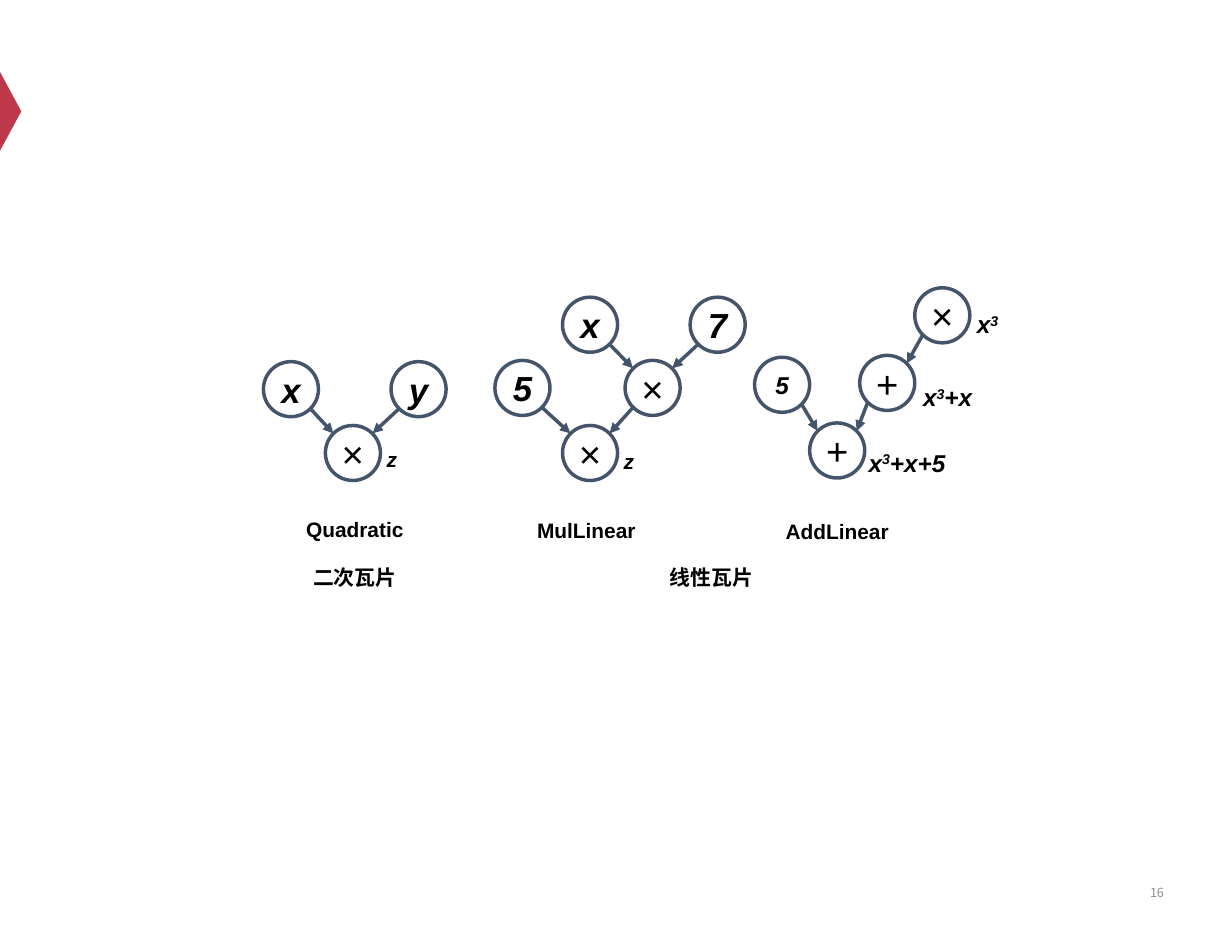
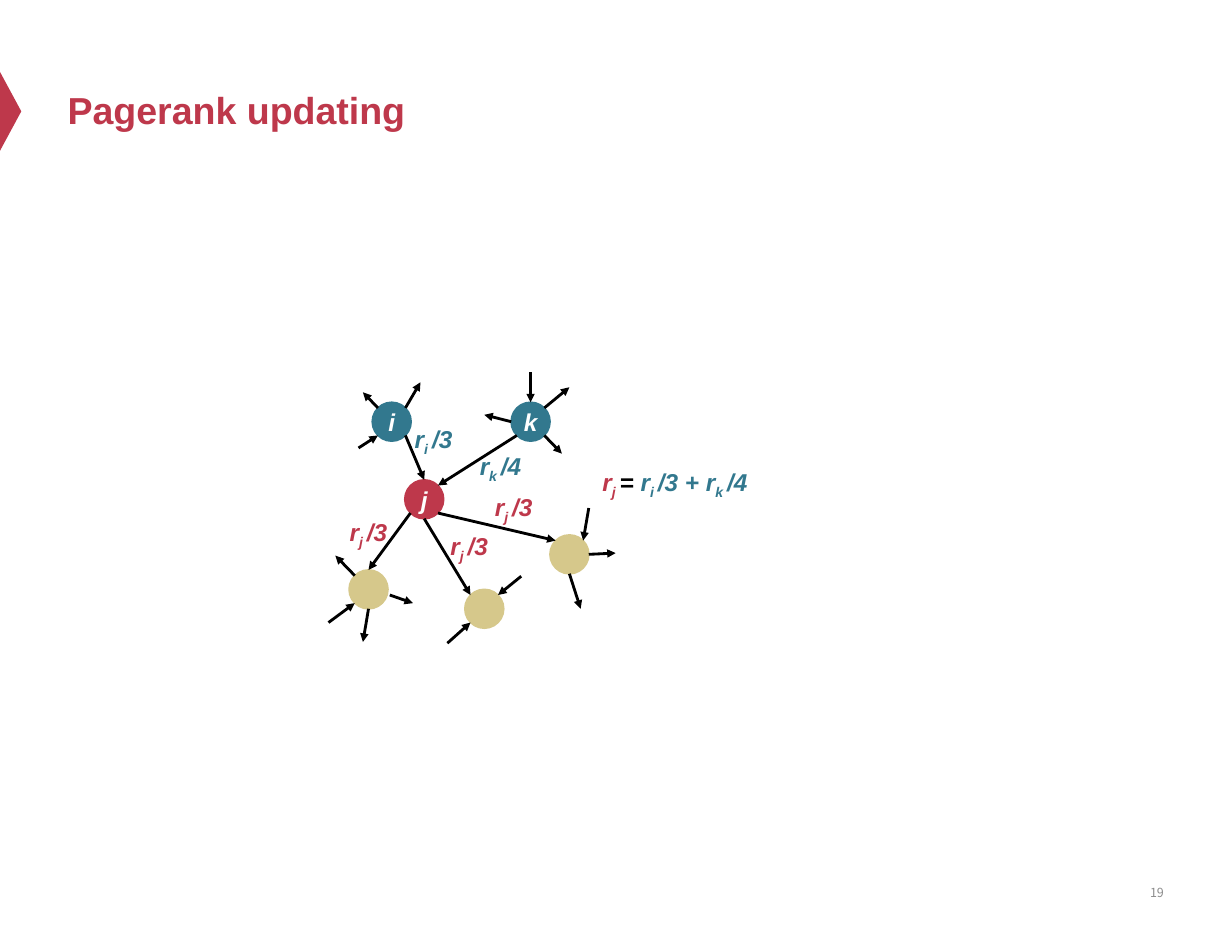
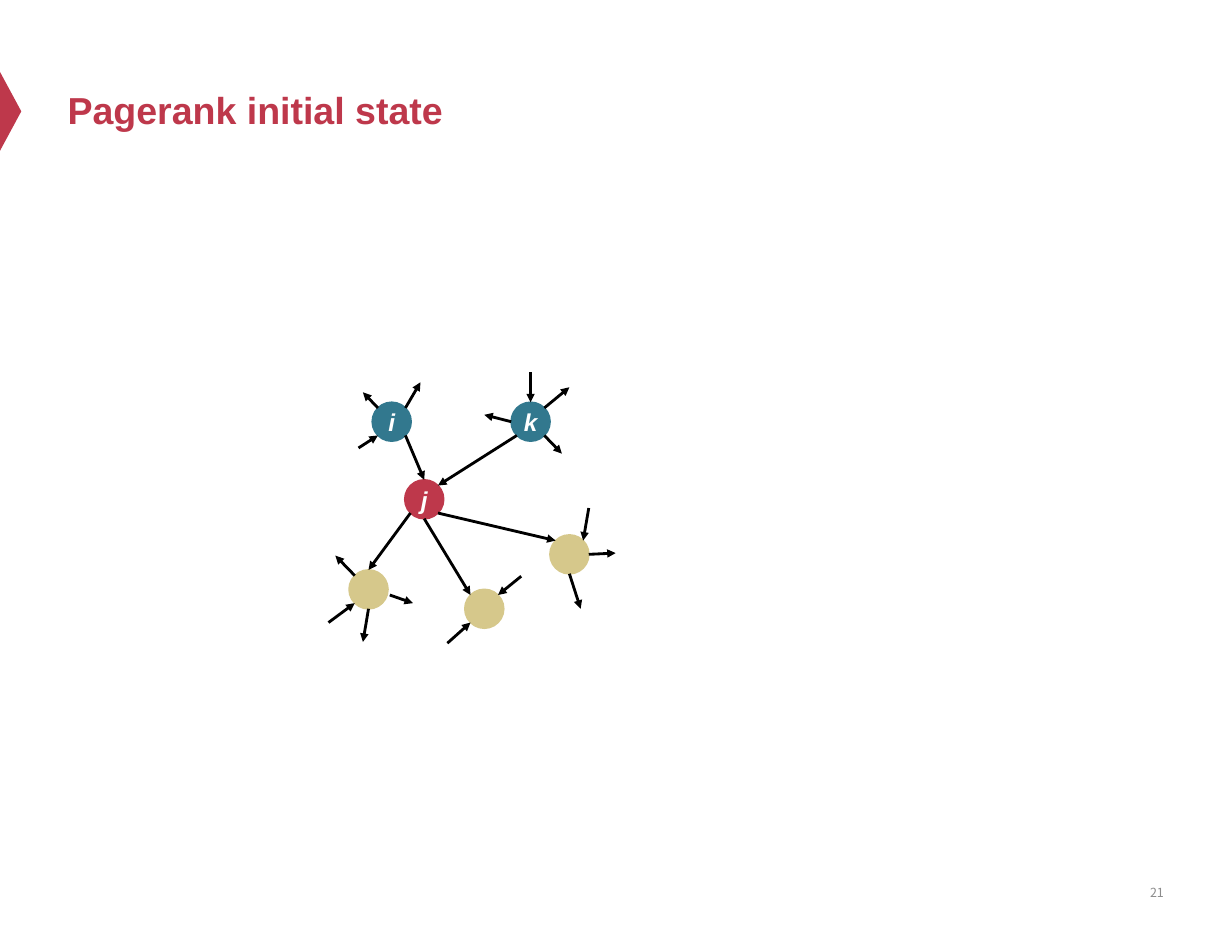
from lxml.etree import SubElement
from pptx import Presentation
from pptx.dml.color import RGBColor
from pptx.enum.shapes import MSO_CONNECTOR as CONN, MSO_SHAPE as SHAPE
from pptx.enum.text import MSO_ANCHOR as ANCHOR, PP_ALIGN as ALIGN
from pptx.oxml.ns import qn
from pptx.util import Inches, Pt

COLS, ROWS = 196.9, 149.6
COLORS = {"red": "BE384B", "teal": "32788E", "sand": "D6C88B", "slate": "44546A",
          "black": "000000", "white": "FFFFFF", "gray": "8C8C8C"}
CAPTION = {"size": 24, "bold": True}
VARIABLE = {"size": 24, "bold": True, "italic": True}
FORMULA = {**VARIABLE, "size": 28}
SYMBOL = {**VARIABLE, "size": 40}
OPERATOR = {"size": 44}
TITLE = {"size": 43.2, "bold": True, "color": "red"}
NUMBER = {"size": 14.4, "name": "Noto Sans CJK SC", "color": "gray"}
SUP, SUB = 30, -25
DIAG = 0.71
PORTS = {"n": (0, -1), "ne": (DIAG, -DIAG), "e": (1, 0), "se": (DIAG, DIAG),
         "s": (0, 1), "sw": (-DIAG, DIAG), "w": (-1, 0), "nw": (-DIAG, -DIAG)}

TREE = {"radius": 4.4, "line": "slate", "width": 4, "node_width": 4}
GRAPH = {"radius": 3.1, "line": "black", "width": 3.25, "node_width": 2}

CUBE = [("x",), ("3", SUP)]
TILES = [
    {"box": (42.1, 57.8),
     "nodes": {"x": (4.4, 4.4, "x", SYMBOL), "y": (24.8, 4.4, "y", SYMBOL),
               "out": (14.3, 14.6, "×", OPERATOR)},
     "edges": [("x se", "out nw"), ("y sw", "out ne")],
     "labels": [(18.7, 13.1, 4.6, [("z",)], VARIABLE)]},
    {"box": (79.1, 47.5),
     "nodes": {"five": (4.4, 14.5, "5", SYMBOL), "x": (15.2, 4.4, "x", SYMBOL),
               "seven": (35.6, 4.4, "7", SYMBOL), "mul": (25.2, 14.5, "×", OPERATOR),
               "out": (15.2, 24.9, "×", OPERATOR)},
     "edges": [("five se", "out nw"), ("mul sw", "out ne"),
               ("x se", "mul nw"), ("seven sw", "mul ne")],
     "labels": [(19.6, 23.7, 4.6, [("z",)], VARIABLE)]},
    {"box": (120.6, 46),
     "nodes": {"five": (4.4, 15.5, "5", FORMULA), "mul": (30, 4.4, "×", OPERATOR),
               "add": (21.2, 15.2, "+", OPERATOR), "out": (13.2, 26, "+", OPERATOR)},
     "edges": [("five se", "out nw"), ("mul sw", "add ne"), ("add sw", "out ne")],
     "labels": [(32.9, 2.9, 8.7, CUBE, FORMULA, ALIGN.CENTER),
                (24.5, 14.6, 12.7, CUBE + [("+x",)], FORMULA, ALIGN.CENTER),
                (15.8, 25.1, 17.1, CUBE + [("+x+5",)], FORMULA, ALIGN.CENTER)]},
]
CAPTIONS = [(0, 0, 29.2, "Quadratic"), (37, 0.1, 29.2, "MulLinear"),
            (77.1, 0.3, 29.2, "AddLinear"),
            (0, 7.6, 29.2, "二次瓦片"), (37, 7.6, 69.2, "线性瓦片")]

NETWORK = {
    "box": (52.5, 59.5),
    "nodes": {"i": (10.1, 7.9, "i", FORMULA, "teal"), "k": (32.3, 7.9, "k", FORMULA, "teal"),
              "j": (15.3, 20.3, "j", FORMULA, "red"), "left": (6.4, 34.7, "", FORMULA, "sand"),
              "mid": (24.9, 37.8, "", FORMULA, "sand"),
              "right": (38.5, 29.1, "", FORMULA, "sand")},
    "edges": [("i se", "j n"), ("k sw", "j ne"), ("j sw", "left n"), ("j s", "mid nw"),
              ("j se", "right nw"),
              ("i nw", (5.5, 3.2)), ("i ne", (14.7, 1.6)), ((4.8, 12.1), "i sw"),
              ("k w", (24.9, 6.8)), ((32.3, 0), "k n"), ("k ne", (38.5, 2.4)),
              ("k se", (37.3, 13)),
              ("left nw", (1.1, 29.3)), ((9.8, 35.6), (13.5, 36.9)),
              ("left s", (5.5, 43.1)), ((0, 40), "left sw"),
              ((19, 43.3), "mid sw"), ((30.8, 32.6), "mid ne"),
              ((41.6, 21.7), "right ne"), ("right e", (45.9, 28.9)),
              ("right s", (40.3, 37.8))],
}


def rank(name, rest, color):
    return [("r", 0, color), (name + " ", SUB, color), (rest, 0, color)]


RANK_J = rank("j", "/3", "red")
UPDATE = ([("r", 0, "red"), ("j ", SUB, "red"), ("= ", 0, "black")]
          + rank("i", "/3 + ", "teal") + rank("k", "/4", "teal"))
RANK_LABELS = [(12.8, 7.8, 10.2, rank("i", "/3", "teal"), FORMULA),
               (23.2, 12.1, 11.3, rank("k", "/4", "teal"), FORMULA),
               (2.4, 22.7, 8.9, RANK_J, FORMULA),
               (18.5, 24.9, 8.9, RANK_J, FORMULA),
               (25.6, 18.6, 8.9, RANK_J, FORMULA),
               (42.8, 14.6, 30, UPDATE, FORMULA)]


def cells(*values):
    return [Inches(v / 10) for v in values]


def rgb(name):
    return RGBColor.from_string(COLORS[name])


def write(tf, runs, fmt, align=ALIGN.LEFT):
    p = tf.paragraphs[0]
    p.alignment = align
    for text, base, color in ((*run, 0, None)[:3] if len(run) < 3 else run for run in runs):
        r = p.add_run()
        r.text = text
        style = {"name": "Arial", "bold": False, "italic": False, **fmt}
        r.font.color.rgb = rgb(color or style.pop("color", "black"))
        style.pop("color", None)
        style["size"] = Pt(style["size"])
        for key, value in style.items():
            setattr(r.font, key, value)
        if base:
            r._r.get_or_add_rPr().set("baseline", str(base * 1000))


def add_text(sl, box, runs, fmt, align=ALIGN.LEFT, anchor=ANCHOR.TOP):
    tf = sl.shapes.add_textbox(*cells(*box)).text_frame
    tf.word_wrap = True
    tf.vertical_anchor = anchor
    write(tf, runs, fmt, align)


def add_node(sl, x, y, look, text, fmt, fill=None):
    radius = look["radius"]
    sp = sl.shapes.add_shape(SHAPE.OVAL, *cells(x - radius, y - radius, 2 * radius, 2 * radius))
    sp.shadow.inherit = False
    if fill:
        sp.fill.solid()
        sp.fill.fore_color.rgb = rgb(fill)
    else:
        sp.fill.background()
    sp.line.color.rgb = rgb(fill or look["line"])
    sp.line.width = Pt(look["node_width"])
    tf = sp.text_frame
    for side in ("left", "top", "right", "bottom"):
        setattr(tf, "margin_" + side, 0)
    tf.word_wrap = False
    tf.vertical_anchor = ANCHOR.MIDDLE
    if text:
        write(tf, [(text, 0, "white" if fill else "black")], fmt, ALIGN.CENTER)


def add_arrow(sl, start, end, look):
    c = sl.shapes.add_connector(CONN.STRAIGHT, *cells(*start, *end))
    c.line.color.rgb = rgb(look["line"])
    c.line.width = Pt(look["width"])
    SubElement(c.line._get_or_add_ln(), qn("a:tailEnd"), type="triangle")
    SubElement(c._element.spPr, qn("a:effectLst"))


def draw_graph(sl, look, box, nodes, edges, labels=()):
    left, top = box

    def locate(end):
        if isinstance(end, tuple):
            return left + end[0], top + end[1]
        name, port = end.split()
        x, y = nodes[name][:2]
        dx, dy = PORTS[port]
        return left + x + dx * look["radius"], top + y + dy * look["radius"]

    for x, y, *content in nodes.values():
        add_node(sl, left + x, top + y, look, *content)
    for start, end in edges:
        add_arrow(sl, locate(start), locate(end), look)
    for x, y, width, *content in labels:
        add_text(sl, (left + x, top + y, width, 5.7), *content)


def draw_captions(sl, box):
    for x, y, width, text in CAPTIONS:
        add_text(sl, (box[0] + x, box[1] + y, width, 5), [(text,)], CAPTION, ALIGN.CENTER)


def set_layout(layout, sl):
    title = layout.placeholders[0]
    title.left, title.top, title.width, title.height = cells(9.8, 5.1, 177.2, 24.9)
    sp = sl.shapes.add_shape(SHAPE.ISOSCELES_TRIANGLE, *cells(-4.6, 16.1, 12.6, 3.4))
    sp.rotation = 90
    sp.shadow.inherit = False
    sp.fill.solid()
    sp.fill.fore_color.rgb = rgb("red")
    sp.line.fill.background()
    sp._element.nvSpPr.cNvPr.set("id", "20")
    layout.shapes.element.insert(2, sp._element)


def add_slide(prs, layout, number, title=None):
    sl = prs.slides.add_slide(layout)
    ph = sl.shapes.title
    if title:
        ph.text_frame.vertical_anchor = ANCHOR.MIDDLE
        write(ph.text_frame, [(title,)], TITLE)
    else:
        ph.element.getparent().remove(ph.element)
    add_text(sl, (141.1, 138.7, 45.9, 8), [(str(number),)], NUMBER, ALIGN.RIGHT, ANCHOR.MIDDLE)
    return sl


def main():
    prs = Presentation()
    prs.slide_width, prs.slide_height = cells(COLS, ROWS)
    layout = prs.slide_layouts[5]

    sl = add_slide(prs, layout, 16)
    set_layout(layout, sl)
    for tile in TILES:
        draw_graph(sl, TREE, **tile)
    draw_captions(sl, (42.1, 82.1))

    sl = add_slide(prs, layout, 19, "Pagerank updating")
    draw_graph(sl, GRAPH, **NETWORK, labels=RANK_LABELS)

    sl = add_slide(prs, layout, 21, "Pagerank initial state")
    draw_graph(sl, GRAPH, **NETWORK)

    prs.save("out.pptx")


if __name__ == "__main__":
    main()
